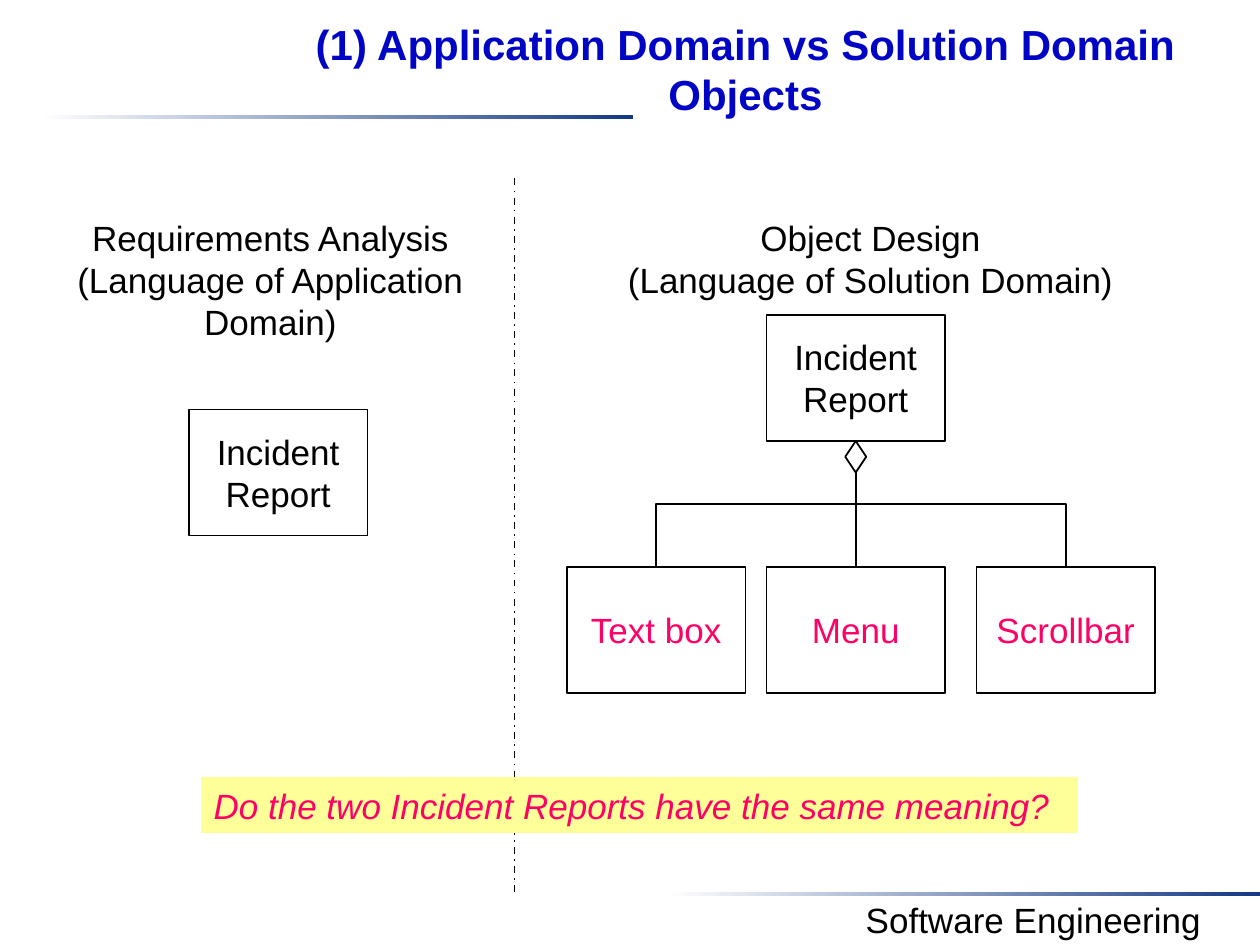
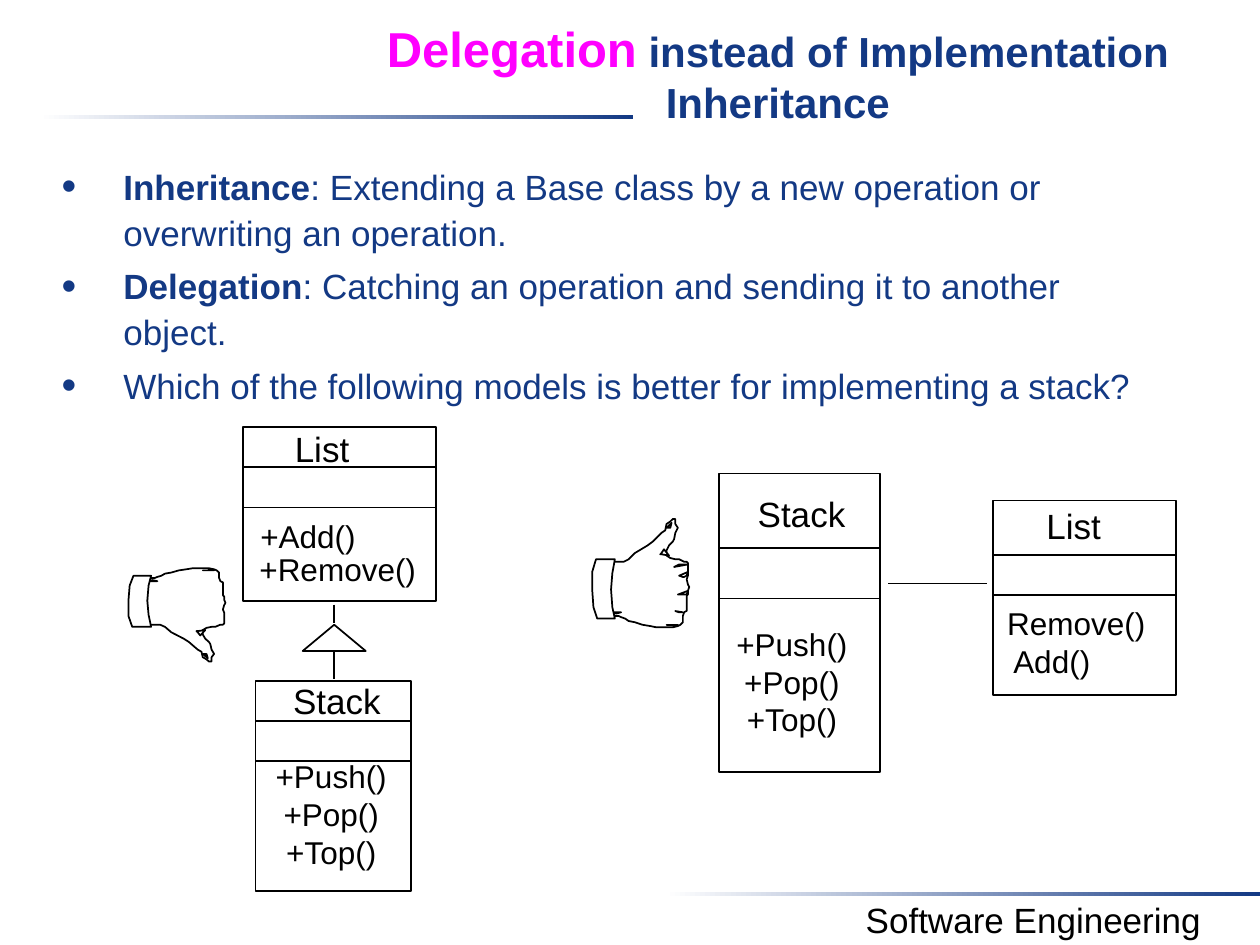
from lxml import etree
from pptx import Presentation
from pptx.dml.color import RGBColor
from pptx.enum import dml, shapes, text
from pptx.oxml import ns
from pptx.util import Pt

COLORS = {
    "white": "FFFFFF", "black": "000000", "navy": "133984", "blue": "0005C5",
    "pink": "FF0066", "magenta": "FF00FF", "yellow": "FFFF99",
}
FONT = "Arial"
CENTER, LEFT = text.PP_ALIGN.CENTER, text.PP_ALIGN.LEFT
RECT = shapes.MSO_SHAPE.RECTANGLE

# Thumbs-up drawing on a grid of hundredths of an inch
HAND_H = 86
PALM = [
    (15, 54), (15, 36), (16, 34), (18, 34), (22, 34), (25, 34), (29, 32), (32, 29),
    (34, 27), (39, 24), (44, 21), (48, 18), (52, 14), (55, 11), (58, 9), (59, 4),
    (62, 2), (64, 0), (66, 0), (66, 4), (68, 7), (66, 11), (65, 16), (64, 18),
    (61, 21), (59, 25), (59, 29), (62, 31), (66, 32), (69, 32), (73, 34), (75, 34),
    (76, 35), (76, 39), (76, 42), (76, 45), (75, 48), (76, 52), (77, 54), (76, 57),
    (76, 60), (75, 61), (75, 63), (75, 66), (75, 68), (75, 70), (75, 73), (73, 74),
    (72, 77), (72, 79), (72, 82), (70, 84), (68, 85), (64, 86), (58, 86), (55, 86),
    (51, 86), (46, 85), (40, 84), (34, 82), (29, 81), (26, 79), (23, 78), (21, 77),
    (18, 77), (16, 75), (15, 73),
]
THUMB_CREASE = [(57, 24), (55, 27), (54, 28), (55, 28), (61, 29)]
NAIL = [(59, 7), (62, 7), (63, 3)]
LAST_KNUCKLE = [(68, 84), (65, 85), (63, 84), (62, 84), (59, 84)]
WRIST = [(16, 74), (19, 75), (23, 74)]
CUFF = [(18, 32), (16, 43), (15, 56), (16, 70), (18, 79),
        (4, 79), (1, 70), (0, 56), (0, 42), (3, 32)]
HAND = [PALM, THUMB_CREASE, NAIL, LAST_KNUCKLE, WRIST, CUFF]
FINGERS = [
    [(76, 42), (75, 45), (73, 46), (72, 46), (69, 45)],
    [(76, 57), (75, 60), (72, 60), (70, 60), (68, 60)],
    [(72, 74), (69, 74), (66, 73)],
    [(76, 36), (72, 36), (70, 36), (69, 36), (65, 38)],
]


def rgb(name):
    return RGBColor.from_string(COLORS[name])


def place(sp, box):
    sp.left, sp.top, sp.width, sp.height = map(Pt, box)


def add_run(p, words, size=20, color="black", bold=False, italic=False):
    r = p.add_run()
    r.text = words
    f = r.font
    f.name, f.size, f.bold, f.italic = FONT, Pt(size), bold, italic
    f.color.rgb = rgb(color)


def write(tf, lines, align=CENTER, wrap=False, **style):
    """Write each line as a paragraph of one run."""
    tf.word_wrap = wrap
    for i, line in enumerate(lines):
        p = tf.add_paragraph() if i else tf.paragraphs[0]
        p.alignment = align
        add_run(p, line, **style)


def label(s, box, lines, **style):
    write(s.shapes.add_textbox(*map(Pt, box)).text_frame, lines, **style)


def paint(sp, fill="white", line="black"):
    sp.shadow.inherit = False
    if fill:
        sp.fill.solid()
        sp.fill.fore_color.rgb = rgb(fill)
    else:
        sp.fill.background()
    if line:
        sp.line.color.rgb = rgb(line)
        sp.line.width = Pt(1)
    else:
        sp.line.fill.background()


def shape(s, box, kind=RECT, **look):
    sp = s.shapes.add_shape(kind, *map(Pt, box))
    paint(sp, **look)
    return sp


def line(s, x0, y0, x1, y1, kind=shapes.MSO_CONNECTOR.STRAIGHT):
    c = s.shapes.add_connector(kind, *map(Pt, (x0, y0, x1, y1)))
    c.line.color.rgb = rgb("black")
    c.line.width = Pt(1)
    etree.SubElement(c._element.spPr, ns.qn("a:effectLst"))
    return c


def branch(s, x0, y0, x1, y1):
    """Draw an elbow that leaves downwards: a turned horizontal elbow."""
    cx, cy = (x0 + x1) / 2, (y0 + y1) / 2
    side = 1 if x1 < x0 else -1
    dx, dy = side * (y1 - y0) / 2, abs(x1 - x0) / 2
    c = line(s, cx - dx, cy - dy, cx + dx, cy + dy, shapes.MSO_CONNECTOR.ELBOW)
    turn = 90 if side == 1 else 270
    c._element.spPr.find(ns.qn("a:xfrm")).set("rot", str(turn * 60000))


def band(s, x, y):
    sp = shape(s, (x, y, 340, 2.3), line=None)
    sp.fill.gradient()
    sp.fill.gradient_angle = 0
    for stop, color, position in zip(sp.fill.gradient_stops, ("white", "navy"), (0, 1)):
        stop.color.rgb = rgb(color)
        stop.position = position


def new_slide(prs, layout, title_box, title_runs):
    """Add a slide with the shared bands, footer and title style."""
    s = prs.slides.add_slide(prs.slide_layouts[layout])
    band(s, 22, 65.5)
    band(s, 380, 509.8)
    label(s, (461, 510, 259, 32), ["Software Engineering"], wrap=True)
    place(s.shapes.title, title_box)
    tf = s.shapes.title.text_frame
    tf.auto_size = text.MSO_AUTO_SIZE.NONE
    tf.vertical_anchor = text.MSO_ANCHOR.TOP
    tf.word_wrap = True
    tf.margin_top = Pt(4.3)
    p = tf.paragraphs[0]
    p.alignment = CENTER
    for words, size, color in title_runs:
        add_run(p, words, size, color, bold=True)
    return s


def object_box(s, x, y, lines, color="black"):
    tf = shape(s, (x, y, 102, 72)).text_frame
    tf.vertical_anchor = text.MSO_ANCHOR.MIDDLE
    write(tf, lines, color=color)


def aggregation(s, x, y):
    """Draw the report and its three parts; x, y is the report's corner."""
    stem, bottom, parts_top = x + 51, y + 72, y + 144
    object_box(s, x, y, ["Incident", "Report"])
    for dx, name in ((-114, "Text box"), (0, "Menu"), (120, "Scrollbar")):
        object_box(s, x + dx, parts_top, [name], "pink")
        if dx:
            branch(s, stem, bottom, stem + dx, parts_top)
        else:
            line(s, stem, bottom, stem, parts_top)
    shape(s, (stem - 6, bottom, 12, 18), shapes.MSO_SHAPE.DIAMOND)


def domain_slide(prs):
    s = new_slide(prs, 5, (147, 6, 558, 54), [
        ("(1) Application Domain vs Solution Domain Objects", 24, "blue")])
    object_box(s, 108, 234, ["Incident", "Report"])
    label(s, (36, 120, 237, 80),
          ["Requirements Analysis", "(Language of Application", "Domain)"])
    label(s, (350.5, 120, 294, 55), ["Object Design", "(Language of Solution Domain)"])
    line(s, 294, 102, 294, 510).line.dash_style = dml.MSO_LINE.DASH_DOT
    aggregation(s, 438, 180)
    question = shape(s, (115, 444, 501, 32), fill="yellow", line=None)
    write(question.text_frame, ["Do the two Incident Reports have the same meaning?"],
          align=LEFT, wrap=True, color="pink", italic=True)


def bullets(body, items):
    place(body, (28, 88.5, 650, 387))
    tf = body.text_frame
    tf.auto_size = text.MSO_AUTO_SIZE.NONE
    tf.word_wrap = True
    for i, (term, rest) in enumerate(items):
        p = tf.add_paragraph() if i else tf.paragraphs[0]
        p.line_spacing = 1.1
        p.space_before = Pt(4 if i else 0)
        pPr = p._p.get_or_add_pPr()
        pPr.set("marL", str(Pt(35.3)))
        pPr.set("indent", str(Pt(-35.3)))
        etree.SubElement(pPr, ns.qn("a:buSzPct")).set("val", "120000")
        etree.SubElement(pPr, ns.qn("a:buChar")).set("char", "•")
        if term:
            add_run(p, term, color="navy", bold=True)
        add_run(p, rest, color="navy")


def class_box(s, box, dividers, name, operations):
    """Draw a UML class; dividers and (dx, dy, width) places are relative to box."""
    x, y, w, _ = box
    shape(s, box)
    for dy in dividers:
        line(s, x, y + dy, x + w, y + dy)
    for (dx, dy, width), lines, size in [(*name, 20)] + [(*o, 18) for o in operations]:
        label(s, (x + dx, y + dy, width, 29), lines, size=size)


def hand(s, x, y, outlines, down=False):
    """Draw a thumb up, or turned over and flatter for a thumb down."""
    scale = Pt(0.72), Pt(0.62 if down else 0.72)
    for outline in outlines:
        points = [(px, HAND_H - py if down else py) for px, py in outline]
        fb = s.shapes.build_freeform(*points[0], scale=scale)
        fb.add_line_segments(points[1:], close=True)
        paint(fb.convert_to_shape(Pt(x), Pt(y)))


def inheritance_model(s, x, y):
    class_box(s, (x, y, 110, 99.5), (23, 46), ((22, -3.5, 46), ["List"]),
              [((2, 48, 70), ["+Add()"]), ((1.5, 66.5, 105), ["+Remove()"])])
    stem = x + 52
    line(s, stem, y + 101.5, stem, y + 112)
    shape(s, (stem - 18, y + 113, 36, 15), shapes.MSO_SHAPE.ISOSCELES_TRIANGLE, fill=None)
    line(s, stem, y + 128, stem, y + 144)
    class_box(s, (x + 7, y + 145, 89, 120), (23, 46), ((14, -4.5, 65), ["Stack"]),
              [((4, 40, 78.5), ["+Push()", "+Pop()", "+Top()"])])


def delegation_model(s, x, y):
    class_box(s, (x, y, 92, 170.5), (42.5, 71.5), ((14.5, 7.5, 65), ["Stack"]),
              [((2.3, 83, 78.5), ["+Push()", "+Pop()", "+Top()"])])
    line(s, x + 96.5, y + 63, x + 153, y + 63)
    class_box(s, (x + 156.5, y + 15.5, 104.5, 111), (31, 54), ((23, -1, 46), ["List"]),
              [((3.5, 77.5, 60), ["Add()"]), ((0, 55.5, 95), ["Remove()"])])


def delegation_slide(prs):
    s = new_slide(prs, 1, (180, 6, 529, 54), [
        ("Delegation", 28, "magenta"),
        (" instead of Implementation Inheritance", 24, "navy")])
    bullets(s.placeholders[1], [
        ("Inheritance",
         ": Extending a Base class by a new operation or overwriting an operation."),
        ("Delegation", ": Catching an operation and sending it to another object."),
        ("", "Which of the following models is better for implementing a stack?"),
    ])
    hand(s, 338.4, 296.6, HAND + FINGERS)
    hand(s, 73.4, 324.7, HAND, down=True)
    inheritance_model(s, 139, 244)
    delegation_model(s, 411, 270.5)


def main():
    prs = Presentation()
    prs.slide_width, prs.slide_height = Pt(720), Pt(540)
    domain_slide(prs)
    delegation_slide(prs)
    prs.save("out.pptx")


if __name__ == "__main__":
    main()
